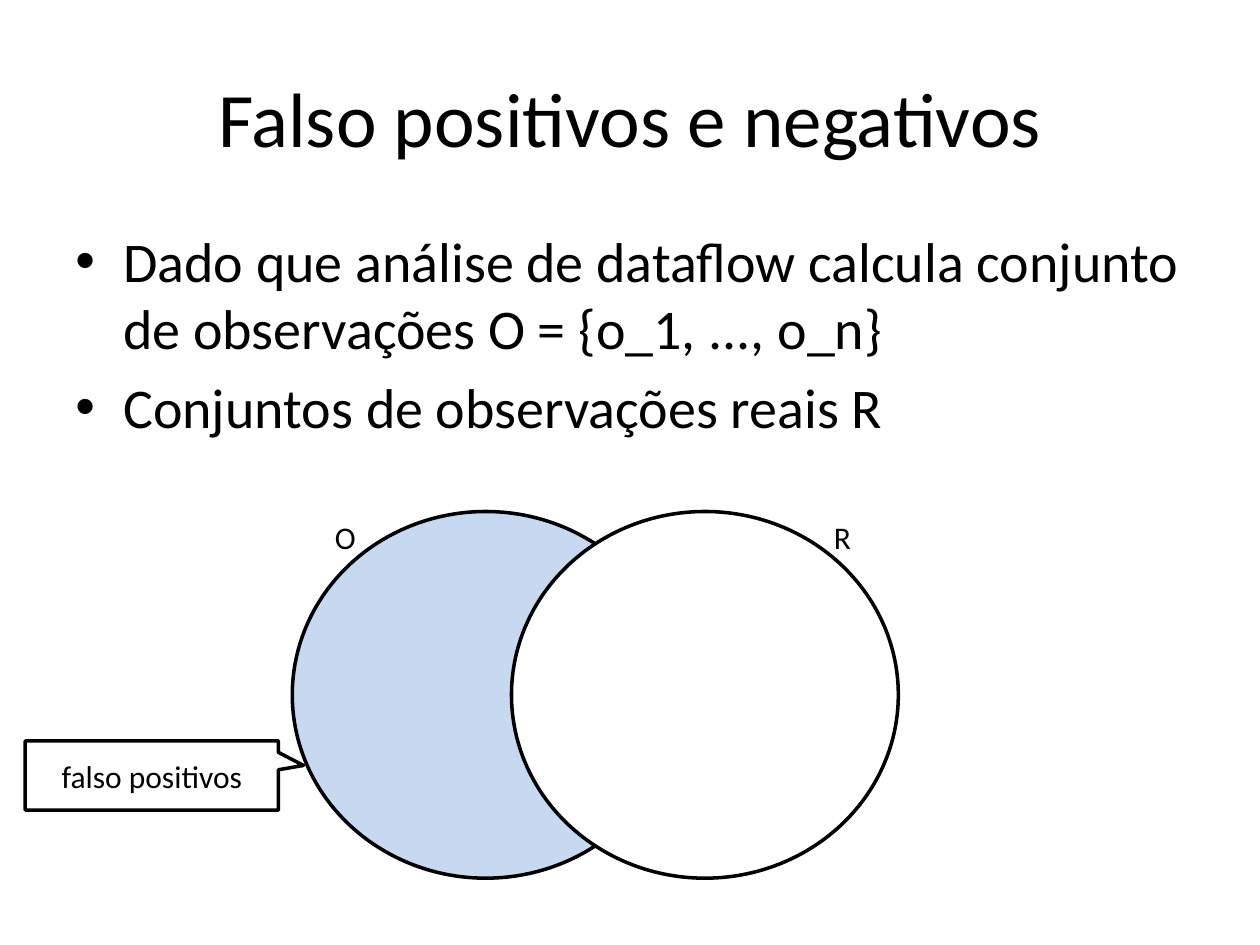
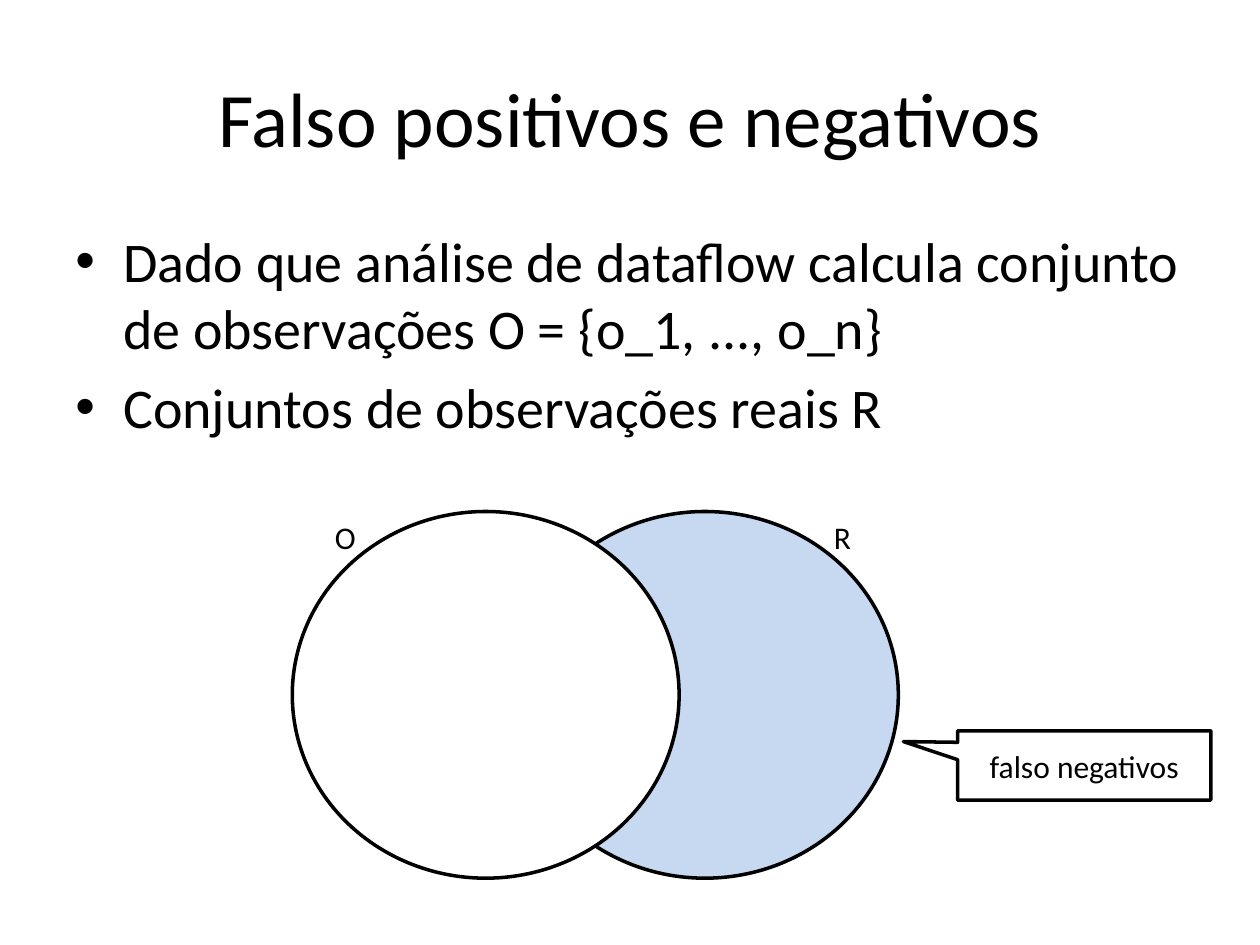
import pptx
import pptx.dml.color
import pptx.enum.shapes
import pptx.enum.text
import pptx.oxml
import pptx.oxml.ns
import pptx.util

Inches = pptx.util.Inches
Pt = pptx.util.Pt
Shape = pptx.enum.shapes.MSO_SHAPE
Align = pptx.enum.text.PP_ALIGN
Anchor = pptx.enum.text.MSO_ANCHOR

# Shared look
INK, PAPER, TINT = "000000", "FFFFFF", "C6D9F1"
FONT = "Calibri"
TITLE = "Falso positivos e negativos"
POINTS = [
    "Dado que análise de dataflow calcula conjunto de observações "
    "O = {o_1, ..., o_n}",
    "Conjuntos de observações reais R",
]

# Venn diagram: left edge of each set, and its label box
TOP, WIDE, HIGH = 4.06, 3.07, 2.91
SETS = {"O": 2.32, "R": 4.06}
LABELS = {"O": (2.56, TOP, 0.37, 0.4), "R": (6.52, TOP, 0.34, 0.4)}

# One view per slide: tinted set, front set, callout text, place, pointer
VIEWS = [
    ("O", "R", "falso positivos", (0.2, 5.88), (0.599, -0.145)),
    ("R", "O", "falso negativos", (7.6, 5.8), (-0.714, -0.344)),
]


def color(code):
    return pptx.dml.color.RGBColor.from_string(code)


def put(item, **values):
    for name, value in values.items():
        setattr(item, name, value)


def box(at):
    return [Inches(n) for n in at]


def write(frame, lines, size, align=Align.LEFT, **values):
    """Fill a text frame, one paragraph per line."""
    put(frame, **{"word_wrap": True, **values})
    for i, line in enumerate(lines):
        para = frame.add_paragraph() if i else frame.paragraphs[0]
        para.alignment = align
        run = para.add_run()
        run.text = line
        put(run.font, name=FONT, size=Pt(size))
        run.font.color.rgb = color(INK)


def head(slide):
    title = slide.shapes.title
    place = dict(zip(("left", "top", "width", "height"),
                     box((0.5, 0.3, 9, 1.25))))
    put(title, **place)
    write(title.text_frame, [TITLE], 44, Align.CENTER,
          vertical_anchor=Anchor.MIDDLE)


def bullets(slide, lines):
    frame = slide.shapes.add_textbox(*box((0.5, 1.75, 9.5, 4.95))).text_frame
    write(frame, lines, 32)
    for para in frame.paragraphs:
        para.space_before = Pt(6.4)
        props = para._p.get_or_add_pPr()
        props.set("marL", str(Inches(0.38)))
        props.set("indent", str(-Inches(0.38)))
        space = pptx.oxml.ns.nsdecls("a")
        for tag in ('buFont {} typeface="Arial"', 'buChar {} char="•"'):
            props.append(pptx.oxml.parse_xml(f"<a:{tag.format(space)}/>"))


def draw(slide, kind, at, fill):
    """Add an outlined preset shape."""
    shape = slide.shapes.add_shape(kind, *box(at))
    shape.shadow.inherit = False
    shape.fill.solid()
    shape.fill.fore_color.rgb = color(fill)
    shape.line.color.rgb = color(INK)
    shape.line.width = Pt(2)
    return shape


def venn(slide, back, front):
    for name, fill in ((back, TINT), (front, PAPER)):
        draw(slide, Shape.OVAL, (SETS[name], TOP, WIDE, HIGH), fill)
    for name, at in LABELS.items():
        label = slide.shapes.add_textbox(*box(at))
        write(label.text_frame, [name], 18, word_wrap=False,
              auto_size=pptx.enum.text.MSO_AUTO_SIZE.SHAPE_TO_FIT_TEXT)


def callout(slide, text, spot, tip):
    shape = draw(slide, Shape.RECTANGULAR_CALLOUT, (*spot, 2.01, 0.55), PAPER)
    for i, value in enumerate(tip):
        shape.adjustments[i] = value
    write(shape.text_frame, [text], 18, Align.CENTER,
          vertical_anchor=Anchor.MIDDLE)


def main():
    deck = pptx.Presentation()
    put(deck, slide_width=Inches(10), slide_height=Inches(7.5))
    for back, front, text, spot, tip in VIEWS:
        slide = deck.slides.add_slide(deck.slide_layouts[5])
        head(slide)
        bullets(slide, POINTS)
        venn(slide, back, front)
        callout(slide, text, spot, tip)
    deck.save("out.pptx")


if __name__ == "__main__":
    main()
